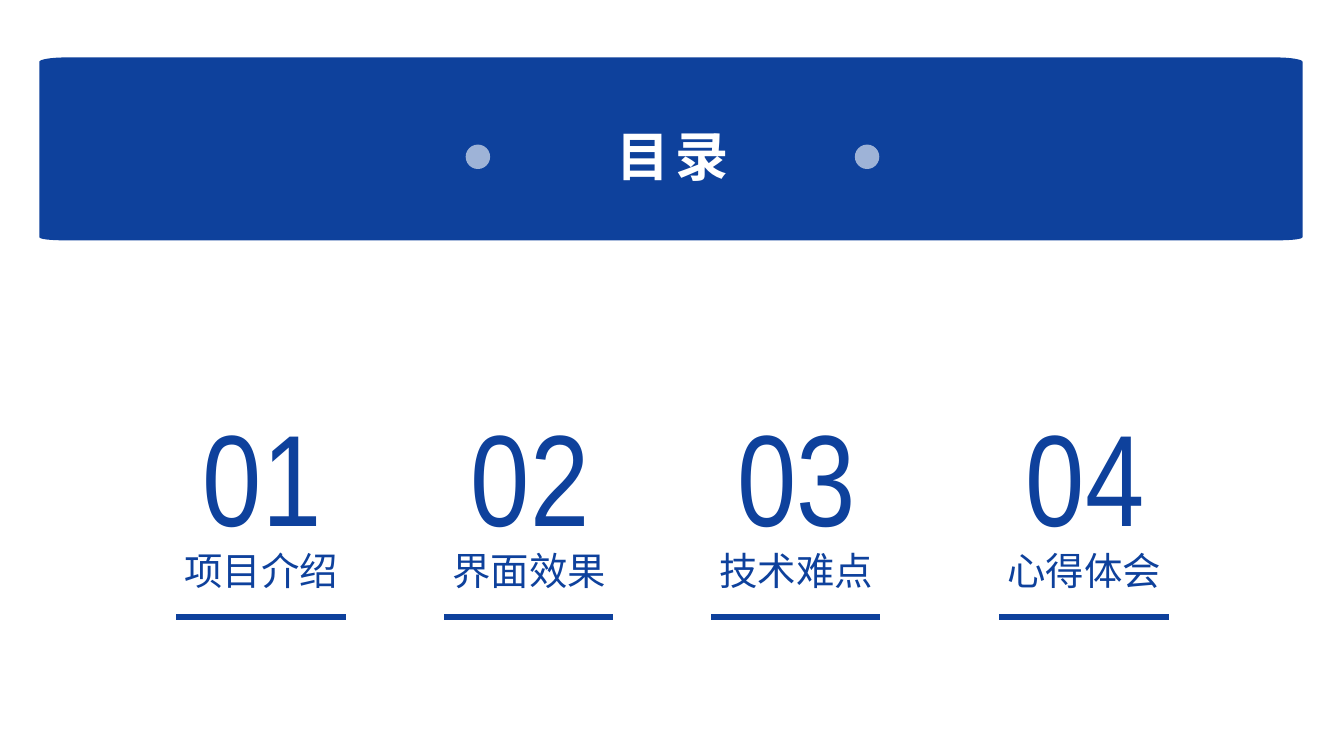
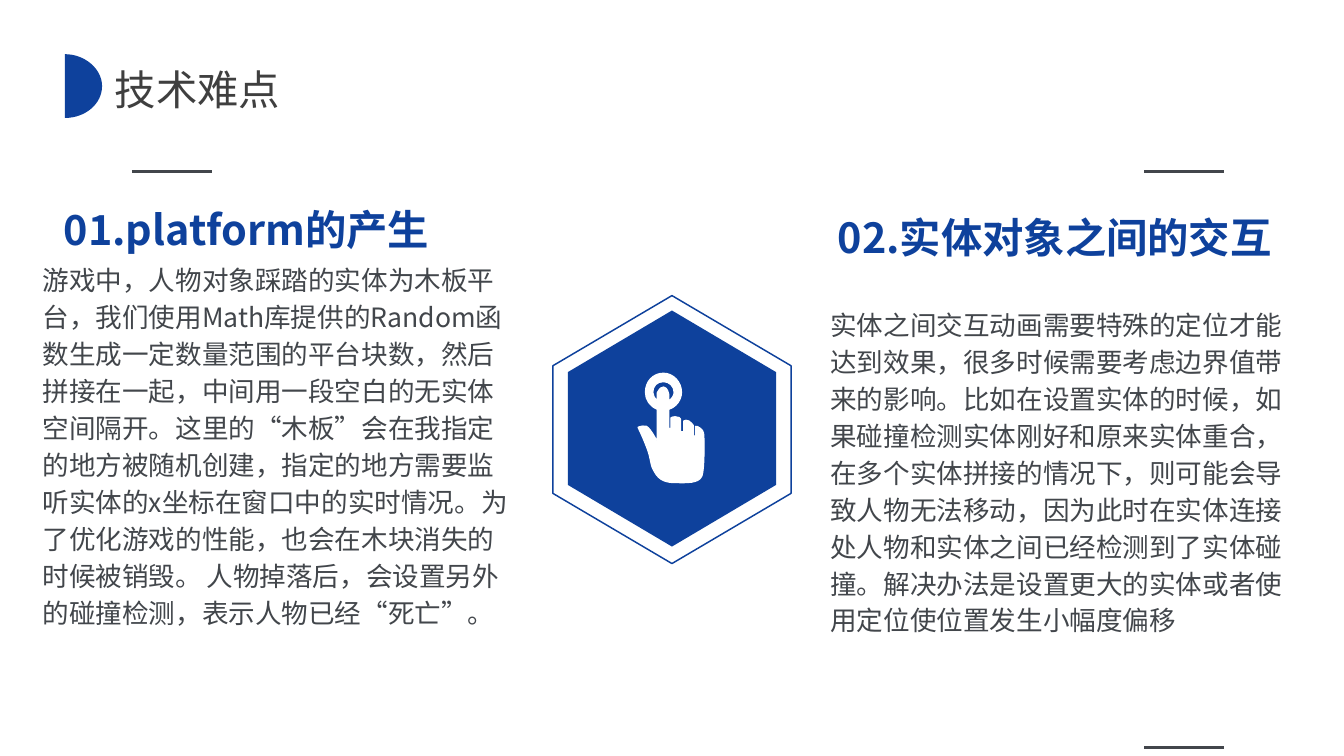
from lxml import etree
from pptx import Presentation
from pptx.dml.color import RGBColor
from pptx.enum.shapes import MSO_CONNECTOR, MSO_SHAPE
from pptx.enum.text import MSO_ANCHOR, MSO_AUTO_SIZE, PP_ALIGN
from pptx.oxml.ns import qn
from pptx.util import Pt

LEFT, CENTER = PP_ALIGN.LEFT, PP_ALIGN.CENTER
MIDDLE, GROW = MSO_ANCHOR.MIDDLE, MSO_AUTO_SIZE.SHAPE_TO_FIT_TEXT
STRAIGHT, OVAL = MSO_CONNECTOR.STRAIGHT, MSO_SHAPE.OVAL

# Shared style: 100 px to the inch
PX = 9144
SLIDE_W, SLIDE_H = 1264, 711
BLUE, WHITE, DARK, GREY = "0E419C", "FFFFFF", "3F3F3F", "42464B"
HAN, NARROW = "Noto Sans CJK SC", "Arial Narrow"
LINE_SPACING = 1.16

# Contents slide: (number, label, centre)
AGENDA_TITLE = "目录"
AGENDA = [
    ("01", "项目介绍", 246),
    ("02", "界面效果", 498),
    ("03", "技术难点", 749),
    ("04", "心得体会", 1020),
]
DOT_LEFTS = (438, 804)

# Difficulties slide: runs are (text, own size or None)
DIFFICULTY_TITLE = "技术难点"
DIFFICULTIES = [
    {
        "heading": "01.platform的产生", "heading_box": (60, 186, 386, 51),
        "body_box": (40, 243, 442, 349),
        "body": [
            ("游戏中，人物对象踩踏的实体为木板平台，我们使用Math库提供的Random函数"
             "生成一定数量范围的平台块数，然后拼接在一起，中间用一段空白的无实体空间隔开。"
             "这里的“木板”会在我指定的地方被随机创建，指定的地方需要监听实体的x坐标在"
             "窗口中的实时情况。为了优化游戏的性能，也会在木块消失的时候被销毁。", None),
            (" ", 14),
            ("人物掉落后，会设置另外的碰撞检测，表示人物已经“死亡”。", None),
        ],
    },
    {
        "heading": "02.实体对象之间的交互", "heading_box": (788, 194, 421, 51),
        "body_box": (781, 285, 434, 314),
        "body": [
            ("实体之间交互动画需要特殊的定位才能达到效果，很多时候需要考虑边界值带来的"
             "影响。比如在设置实体的时候，如果碰撞检测实体刚好和原来实体重合，在多个实体"
             "拼接的情况下，则可能会导致人物无法移动，因为此时在实体连接处人物和实体之间"
             "已经检测到了实体碰撞。解决办法是设置更大的实体或者使用定位使位置发生小幅度"
             "偏移", None),
        ],
    },
]
SHORT_RULES = [(124, 161), (1076, 161), (1076, 703)]
SHORT_RULE_W = 75

# Outlines: a pair is a corner, six numbers are a curve (two controls, end)
BANNER = [
    (61, 54), (1201, 54), (1214, 54, 1225, 56, 1225, 58),
    (1225, 223), (1225, 225, 1214, 226, 1201, 226),
    (61, 226), (48, 226, 37, 225, 37, 223),
    (37, 58), (37, 56, 48, 54, 61, 54),
]
HALF_DISC = [(61, 51), (80, 51, 96, 65, 96, 81), (96, 98, 80, 111, 61, 111)]
FINGER_RING = [
    (624, 359), (618, 359, 614, 363, 614, 369), (614, 372, 616, 375, 618, 377),
    (618, 370), (618, 370, 620, 364, 624, 364), (628, 364, 629, 371, 629, 371),
    (629, 377), (632, 375, 634, 372, 634, 369), (634, 363, 629, 359, 624, 359),
]
HAND = [
    (624, 351), (633, 351, 641, 359, 641, 369), (641, 376, 636, 383, 629, 385),
    (629, 403), (631, 403),
    (631, 393), (632, 392, 634, 392, 635, 392), (638, 392, 640, 393, 640, 394),
    (640, 406), (643, 406),
    (643, 396), (644, 395, 646, 395, 648, 396), (650, 397, 651, 399, 652, 400),
    (652, 410), (654, 410),
    (654, 401), (655, 401, 657, 401, 659, 403), (662, 405, 662, 410, 662, 410),
    (662, 410, 663, 441, 660, 448), (657, 455, 645, 454, 636, 454),
    (628, 454, 620, 453, 615, 443), (612, 439, 612, 431, 609, 423),
    (605, 412, 600, 402, 600, 402), (600, 402, 603, 400, 608, 401),
    (612, 403, 618, 415, 618, 415),
    (618, 385), (611, 382, 607, 376, 607, 369), (607, 359, 614, 351, 624, 351),
]


def color(code):
    return RGBColor.from_string(code)


def paint(shape, fill=None, line=None, width=1):
    shape.shadow.inherit = False
    if fill:
        shape.fill.solid()
        shape.fill.fore_color.rgb = color(fill)
    else:
        shape.fill.background()
    if line:
        shape.line.color.rgb = color(line)
        shape.line.width = Pt(width)
    else:
        shape.line.fill.background()


def add_outline(slide, *outlines, **style):
    builder = None
    for outline in outlines:
        ends = [(part[-2] * PX, part[-1] * PX) for part in outline]
        if builder is None:
            builder = slide.shapes.build_freeform(*ends[0], scale=1.0)
        else:
            builder.move_to(*ends[0])
        builder.add_line_segments(ends[1:], close=True)
    shape = builder.convert_to_shape()
    # Bend the segments that have control points
    parts = [part for outline in outlines for part in outline[1:]]
    segments = list(shape._element.iter(qn("a:lnTo")))
    for part, segment in zip(parts, segments):
        if len(part) == 6:
            segment.tag = qn("a:cubicBezTo")
            for i, (x, y) in enumerate((part[:2], part[2:4])):
                control = etree.Element(qn("a:pt"), x=str(x * PX - shape.left),
                                        y=str(y * PX - shape.top))
                segment.insert(i, control)
    paint(shape, **style)


def hexagon(cx, cy, half_w, half_h, half_side):
    return [(cx, cy - half_h), (cx + half_w, cy - half_side), (cx + half_w, cy + half_side),
            (cx, cy + half_h), (cx - half_w, cy + half_side), (cx - half_w, cy - half_side)]


def add_text(slide, box, content, size, ink, font=HAN, align=LEFT, bold=False, spacing=0):
    frame = slide.shapes.add_textbox(*(v * PX for v in box)).text_frame
    frame.word_wrap = True
    frame.auto_size = GROW
    frame.vertical_anchor = MIDDLE
    frame.margin_left = frame.margin_right = frame.margin_top = frame.margin_bottom = 0
    paragraph = frame.paragraphs[0]
    paragraph.alignment = align
    paragraph.line_spacing = LINE_SPACING
    style = paragraph.font
    style.name, style.size, style.bold = font, Pt(size), bold
    style.color.rgb = color(ink)
    # East Asian face and letter spacing
    properties = paragraph._p.pPr.find(qn("a:defRPr"))
    etree.SubElement(properties, qn("a:ea")).set("typeface", font)
    if spacing:
        properties.set("spc", str(spacing * 100))
    for text, own_size in [(content, None)] if isinstance(content, str) else content:
        run = paragraph.add_run()
        run.text = text
        if own_size:
            run.font.size = Pt(own_size)


def add_rule(slide, left, y, length, ink, width):
    rule = slide.shapes.add_connector(STRAIGHT, left * PX, y * PX, (left + length) * PX, y * PX)
    rule.line.color.rgb = color(ink)
    rule.line.width = Pt(width)
    etree.SubElement(rule._element.spPr, qn("a:effectLst"))


def build_agenda(slide):
    # Banner with title and two pale dots
    add_outline(slide, BANNER, fill=BLUE)
    add_text(slide, (501, 100, 264, 83), AGENDA_TITLE, 36, WHITE,
             align=CENTER, bold=True, spacing=4)
    for left in DOT_LEFTS:
        dot = slide.shapes.add_shape(OVAL, left * PX, 136 * PX, 23 * PX, 23 * PX)
        paint(dot, fill=WHITE)
        tint = dot._element.spPr.find(qn("a:solidFill"))[0]
        etree.SubElement(tint, qn("a:alpha")).set("val", "60000")

    # Numbered chapters
    for number, label, center in AGENDA:
        add_text(slide, (center - 81, 342, 163, 185), number, 88, BLUE, NARROW, CENTER)
        add_text(slide, (center - 93, 501, 186, 64), label, 26, BLUE, align=CENTER)
        add_rule(slide, center - 80, 580, 159, BLUE, 4)


def build_difficulties(slide):
    # Title
    add_outline(slide, HALF_DISC, fill=BLUE)
    add_text(slide, (108, 46, 386, 68), DIFFICULTY_TITLE, 28, DARK)

    # Hexagon emblem
    add_outline(slide, hexagon(632, 403, 98, 111, 53), fill=BLUE)
    add_outline(slide, hexagon(632, 404, 112, 126, 60), line=BLUE)
    add_outline(slide, FINGER_RING, HAND, fill=WHITE, line=WHITE, width=0.75)

    # Two columns
    for column in DIFFICULTIES:
        add_text(slide, column["heading_box"], column["heading"], 28, BLUE, bold=True)
        add_text(slide, column["body_box"], column["body"], 18, GREY)
    for left, y in SHORT_RULES:
        add_rule(slide, left, y, SHORT_RULE_W, GREY, 2)


def main():
    deck = Presentation()
    deck.slide_width, deck.slide_height = SLIDE_W * PX, SLIDE_H * PX
    blank = deck.slide_layouts[6]
    for build in (build_agenda, build_difficulties):
        build(deck.slides.add_slide(blank))
    deck.save("out.pptx")


if __name__ == "__main__":
    main()
